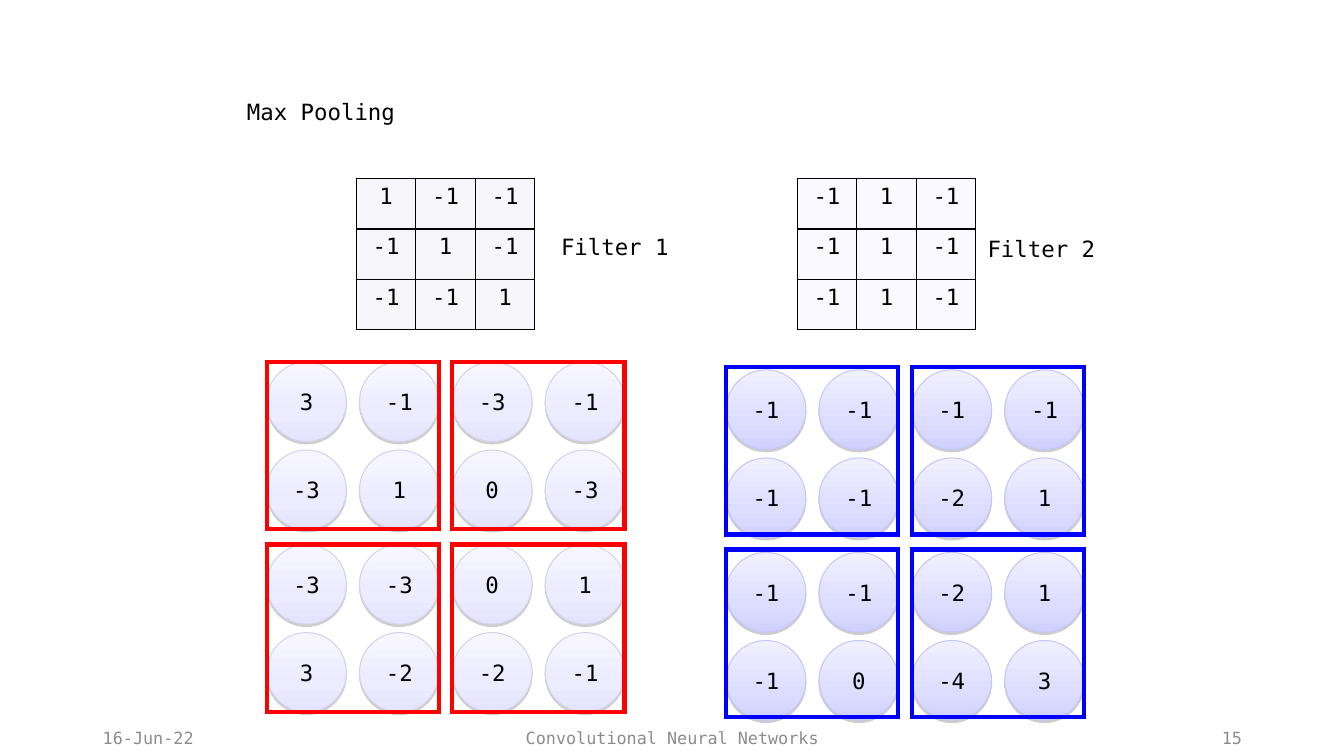
"""Builds the Max Pooling slide: two filters and their pooled feature maps."""
from dataclasses import dataclass
from itertools import product

from lxml.etree import SubElement
from pptx import Presentation
from pptx.dml.color import RGBColor
from pptx.enum.shapes import MSO_SHAPE
from pptx.enum.text import MSO_ANCHOR, MSO_AUTO_SIZE, PP_ALIGN
from pptx.oxml import parse_xml
from pptx.oxml.ns import nsdecls, qn
from pptx.util import Cm, Pt


@dataclass(frozen=True)
class Theme:
    font: str = "DejaVu Sans Mono"
    body: int = 16
    small: int = 12
    ink: str = "000000"
    muted: str = "8C8C8C"
    shadow: str = "808080"
    stops: tuple = (0, 65, 100)


@dataclass(frozen=True)
class Palette:
    gradient: tuple
    outline: str
    frame: str
    cell: str


PALE = Palette(("F7F6FF", "ECEBFF", "E5E3FF"), "D4D3E7", "FF0000", "F7F7FB")
LILAC = Palette(("F0F0FF", "DDDDFF", "D0D0FF"), "C6C6FB", "0000FF", "F9F9FF")

FILTER_1 = ("1 -1 -1", "-1 1 -1", "-1 -1 1")
FILTER_2 = ("-1 1 -1",) * 3
MAP_1 = ("3 -1 -3 -1", "-3 1 0 -3", "-3 -3 0 1", "3 -2 -2 -1")
MAP_2 = ("-1 -1 -1 -1", "-1 -1 -2 1", "-1 -1 -2 1", "-1 0 -4 3")

DIAMETER = 2.01
COLUMN_STEP, ROW_STEP = 2.34, 2.22
POOL_STEP_X, POOL_STEP_Y = 2 * COLUMN_STEP, 4.6
POOL_WIDTH, POOL_HEIGHT = 4.34, 4.22
CELL_WIDTH, CELL_HEIGHT = 1.5, 1.27
FOOTER_TOP, FOOTER_HEIGHT = 18.13, 0.9


class PoolingSlide:
    def __init__(self, prs, theme):
        self.theme = theme
        self.s = prs.slides.add_slide(prs.slide_layouts[5])

    def style(self, tf, align, size=None, color=None):
        for p in tf.paragraphs:
            p.alignment = align
            for r in p.runs:
                r.font.name = self.theme.font
                r.font.size = Pt(size or self.theme.body)
                r.font.bold = False
                r.font.color.rgb = RGBColor.from_string(color or self.theme.ink)

    def title(self, text, x, y, w, h):
        sp = self.s.shapes.title
        sp.left, sp.top, sp.width, sp.height = Cm(x), Cm(y), Cm(w), Cm(h)
        tf = sp.text_frame
        tf.text = text
        tf.vertical_anchor = MSO_ANCHOR.MIDDLE
        tf.paragraphs[0].line_spacing = 0.9
        self.style(tf, PP_ALIGN.LEFT)

    def text(self, text, x, y, w, h, align, size=None, color=None):
        tf = self.s.shapes.add_textbox(Cm(x), Cm(y), Cm(w), Cm(h)).text_frame
        tf.word_wrap = True
        tf.text = text
        self.style(tf, align, size, color)
        return tf

    def label(self, text, x, y):
        tf = self.text(text, x, y, 4.01, 0.94, PP_ALIGN.CENTER)
        tf.auto_size = MSO_AUTO_SIZE.SHAPE_TO_FIT_TEXT

    def footer(self, text, x, w, align):
        tf = self.text(text, x, FOOTER_TOP, w, FOOTER_HEIGHT, align,
                       self.theme.small, self.theme.muted)
        tf.vertical_anchor = MSO_ANCHOR.MIDDLE

    def shape(self, kind, x, y, w, h, line, width):
        sp = self.s.shapes.add_shape(kind, Cm(x), Cm(y), Cm(w), Cm(h))
        sp.shadow.inherit = False
        sp.line.color.rgb = RGBColor.from_string(line)
        sp.line.width = Pt(width)
        return sp

    def circle(self, value, x, y, palette):
        sp = self.shape(MSO_SHAPE.OVAL, x, y, DIAMETER, DIAMETER, palette.outline, 0.75)
        sp.fill.gradient()
        sp.fill.gradient_angle = 270
        spPr = sp._element.spPr
        stops = next(spPr.iter(qn("a:gsLst")))
        for gs in list(stops):
            stops.remove(gs)
        for pos, color in zip(self.theme.stops, palette.gradient):
            gs = SubElement(stops, qn("a:gs"), pos=str(pos * 1000))
            SubElement(gs, qn("a:srgbClr"), val=color)
        spPr.find(qn("a:effectLst")).append(parse_xml(
            f'<a:outerShdw {nsdecls("a")} blurRad="0" dist="{Pt(1.6)}" dir="5400000" '
            f'rotWithShape="0"><a:srgbClr val="{self.theme.shadow}">'
            '<a:alpha val="38000"/></a:srgbClr></a:outerShdw>'))
        tf = sp.text_frame
        tf.text = value
        tf.vertical_anchor = MSO_ANCHOR.MIDDLE
        self.style(tf, PP_ALIGN.CENTER)

    def feature_map(self, rows, x, y, palette):
        for i, row in enumerate(rows):
            top = y + i // 2 * POOL_STEP_Y + i % 2 * ROW_STEP
            for j, value in enumerate(row.split()):
                self.circle(value, x + j * COLUMN_STEP, top, palette)

    def pools(self, x, y, palette):
        for i, j in product(range(2), repeat=2):
            sp = self.shape(MSO_SHAPE.RECTANGLE, x + j * POOL_STEP_X, y + i * POOL_STEP_Y,
                            POOL_WIDTH, POOL_HEIGHT, palette.frame, 3)
            sp.fill.background()
            SubElement(sp._element.spPr.find(qn("a:ln")), qn("a:miter"), lim="800000")

    def filter_table(self, rows, x, y, palette):
        n = len(rows)
        table = self.s.shapes.add_table(n, n, Cm(x), Cm(y), Cm(n * CELL_WIDTH),
                                        Cm(n * CELL_HEIGHT)).table
        table.first_row = table.horz_banding = False
        for i, row in enumerate(rows):
            table.rows[i].height = Cm(CELL_HEIGHT)
            table.columns[i].width = Cm(CELL_WIDTH)
            for j, value in enumerate(row.split()):
                cell = table.cell(i, j)
                cell.text = value
                cell.fill.solid()
                cell.fill.fore_color.rgb = RGBColor.from_string(palette.cell)
                self.style(cell.text_frame, PP_ALIGN.CENTER)
                self.borders(cell)

    def borders(self, cell):
        tcPr = cell._tc.get_or_add_tcPr()
        for k, side in enumerate("LRTB"):
            tcPr.insert(k, parse_xml(
                f'<a:ln{side} {nsdecls("a")} w="{Pt(1)}"><a:solidFill>'
                f'<a:srgbClr val="{self.theme.ink}"/></a:solidFill></a:ln{side}>'))


def main():
    prs = Presentation()
    prs.slide_width, prs.slide_height = Cm(33.87), Cm(19.05)
    slide = PoolingSlide(prs, Theme())
    slide.title("Max Pooling", 5.97, 1.02, 21.89, 3.68)
    slide.feature_map(MAP_1, 6.72, 9.12, PALE)
    slide.filter_table(FILTER_2, 20.09, 4.5, LILAC)
    slide.label("Filter 2", 24.24, 5.79)
    slide.feature_map(MAP_2, 18.3, 9.32, LILAC)
    slide.filter_table(FILTER_1, 8.98, 4.5, PALE)
    slide.label("Filter 1", 13.49, 5.76)
    slide.pools(6.72, 9.12, PALE)
    slide.pools(18.3, 9.25, LILAC)
    slide.footer("16-Jun-22", 2.34, 7.62, PP_ALIGN.LEFT)
    slide.footer("Convolutional Neural Networks", 11.23, 11.43, PP_ALIGN.CENTER)
    slide.footer("15", 23.93, 7.62, PP_ALIGN.RIGHT)
    prs.save("out.pptx")


if __name__ == "__main__":
    main()
